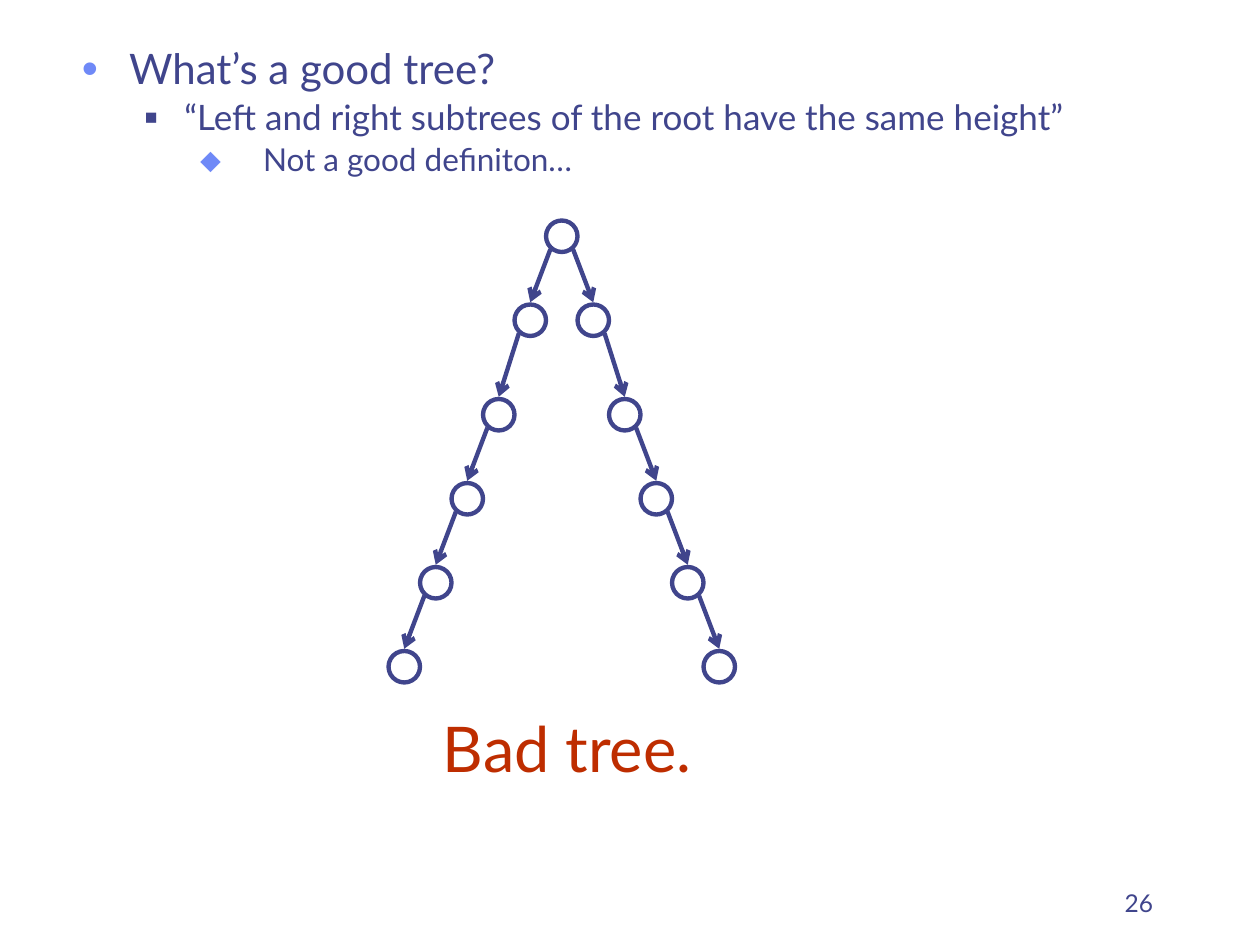
"""Build a slide that shows why equal subtree heights do not make a good tree."""
from lxml import etree
from pptx import Presentation
from pptx import util as u
from pptx.dml.color import RGBColor
from pptx.enum import shapes, text
from pptx.oxml import ns

THEME = {
    "font": "Lato",
    "ink": "40458C", "accent": "6F89F7", "alert": "BE2D00",
    "line": 2.5, "verdict": 36, "number": 14,
}
BULLETS = [
    {"text": "What’s a good tree?", "size": 24, "before": 0,
     "left": 27, "hang": 27, "mark": "•", "color": "accent", "scale": 110},
    {"text": "“Left and right subtrees of the root have the same height”", "size": 20, "before": 4,
     "left": 58.5, "hang": 22.5, "mark": "■", "color": "ink", "scale": 60},
    {"text": "Not a good definiton…", "size": 18, "before": 3.6,
     "left": 103.5, "hang": 36, "mark": "⬥", "color": "accent", "scale": 95},
]
VERDICT = "Bad tree."
PAGE_NUMBER = "26"

LEVEL_TOPS = [126, 174, 228, 276, 324, 372]
ROOT_CENTER, LEVEL_SHIFT, DIAMETER = 321, 18, 18
EDGE_START = (6.5, 7.5)
EDGE_GAP = 1.25


def color(name):
    return RGBColor.from_string(THEME[name])


def style(paragraph, size, name):
    for run in paragraph.runs:
        run.font.name = THEME["font"]
        run.font.size = u.Pt(size)
        run.font.color.rgb = color(name)


def place(shape, left, top, width, height):
    shape.left, shape.top = u.Pt(left), u.Pt(top)
    shape.width, shape.height = u.Pt(width), u.Pt(height)


def add_bullet(paragraph, item):
    properties = paragraph._p.get_or_add_pPr()
    properties.set("marL", str(u.Pt(item["left"])))
    properties.set("indent", str(-u.Pt(item["hang"])))
    bullet_color = etree.SubElement(properties, ns.qn("a:buClr"))
    etree.SubElement(bullet_color, ns.qn("a:srgbClr"), val=THEME[item["color"]])
    etree.SubElement(properties, ns.qn("a:buSzPct"), val=str(item["scale"] * 1000))
    etree.SubElement(properties, ns.qn("a:buChar"), char=item["mark"])


def add_bullets(slide):
    body = slide.placeholders[1]
    place(body, 39.6, 24, 590.4, 105.6)
    frame = body.text_frame
    frame.auto_size = text.MSO_AUTO_SIZE.NONE
    frame.vertical_anchor = text.MSO_ANCHOR.TOP
    frame.text = "\n".join(item["text"] for item in BULLETS)
    for level, (paragraph, item) in enumerate(zip(frame.paragraphs, BULLETS)):
        paragraph.level = level
        add_bullet(paragraph, item)
        paragraph.line_spacing = 0.9
        paragraph.space_before = u.Pt(item["before"])
        style(paragraph, item["size"], "ink")


def add_node(slide, center, top):
    node = slide.shapes.add_shape(
        shapes.MSO_SHAPE.OVAL, u.Pt(center - DIAMETER / 2), u.Pt(top), u.Pt(DIAMETER), u.Pt(DIAMETER))
    node.shadow.inherit = False
    node.fill.background()
    node.line.color.rgb = color("ink")
    node.line.width = u.Pt(THEME["line"])


def add_edge(slide, parent, child, side):
    start_x = parent[0] + side * EDGE_START[0]
    start_y = parent[1] + DIAMETER / 2 + EDGE_START[1]
    edge = slide.shapes.add_connector(
        shapes.MSO_CONNECTOR.STRAIGHT,
        u.Pt(start_x), u.Pt(start_y), u.Pt(child[0]), u.Pt(child[1] - EDGE_GAP))
    edge.line.color.rgb = color("ink")
    edge.line.width = u.Pt(THEME["line"])
    etree.SubElement(edge.line._get_or_add_ln(), ns.qn("a:tailEnd"), type="arrow")
    etree.SubElement(edge._element.spPr, ns.qn("a:effectLst"))


def add_tree(slide):
    add_node(slide, ROOT_CENTER, LEVEL_TOPS[0])
    for side in (1, -1):
        branch = [(ROOT_CENTER + side * LEVEL_SHIFT * depth, top)
                  for depth, top in enumerate(LEVEL_TOPS)]
        for parent, child in zip(branch, branch[1:]):
            add_node(slide, *child)
            add_edge(slide, parent, child, side)


def add_label(slide, words, box, size, name):
    label = slide.shapes.add_textbox(*(u.Pt(length) for length in box))
    label.text_frame.text = words
    style(label.text_frame.paragraphs[0], size, name)
    return label.text_frame


def main():
    presentation = Presentation()
    presentation.slide_width, presentation.slide_height = u.Pt(720), u.Pt(540)
    slide = presentation.slides.add_slide(presentation.slide_layouts[1])
    title = slide.shapes.title._element
    title.getparent().remove(title)

    add_bullets(slide)
    add_tree(slide)
    verdict = add_label(slide, VERDICT, (246, 402, 160, 50.4), THEME["verdict"], "alert")
    verdict.word_wrap = False
    number = add_label(slide, PAGE_NUMBER, (516, 492, 150, 36), THEME["number"], "ink")
    number.word_wrap = True
    number.vertical_anchor = text.MSO_ANCHOR.BOTTOM
    number.paragraphs[0].alignment = text.PP_ALIGN.RIGHT
    presentation.save("out.pptx")


if __name__ == "__main__":
    main()
